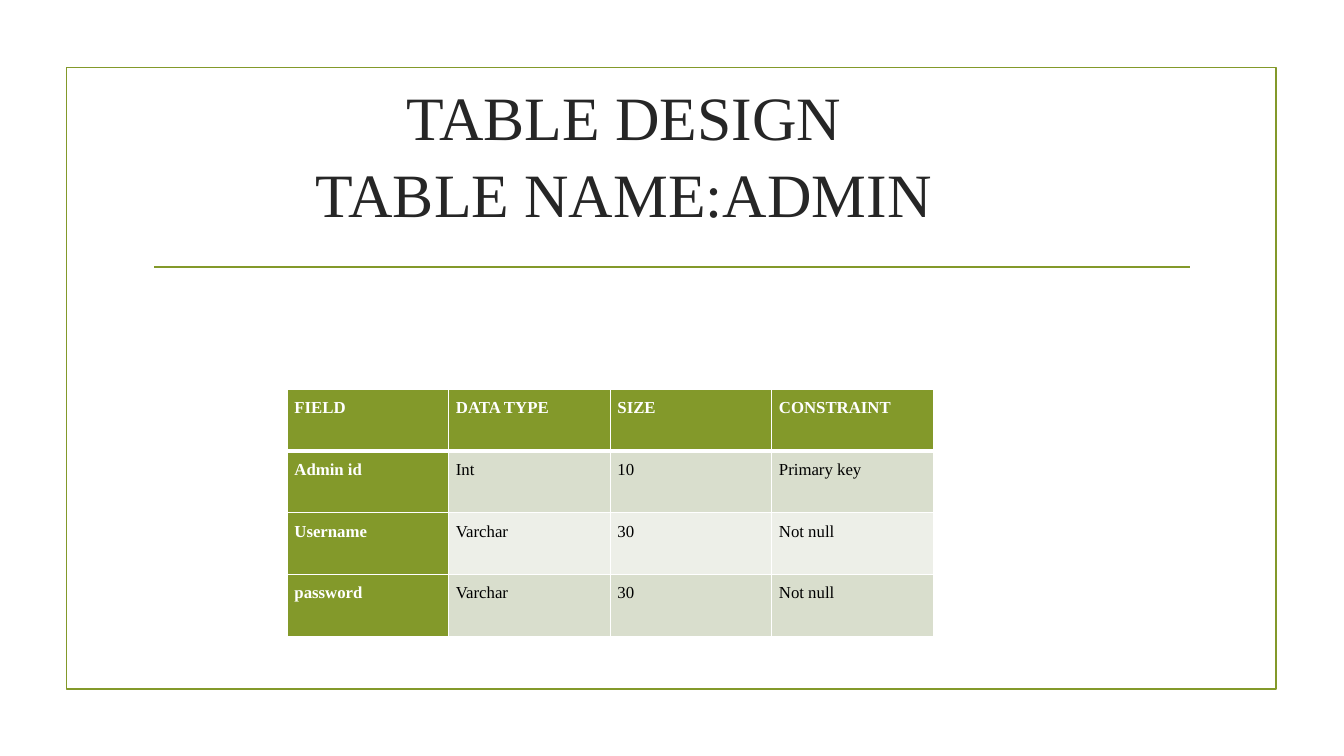
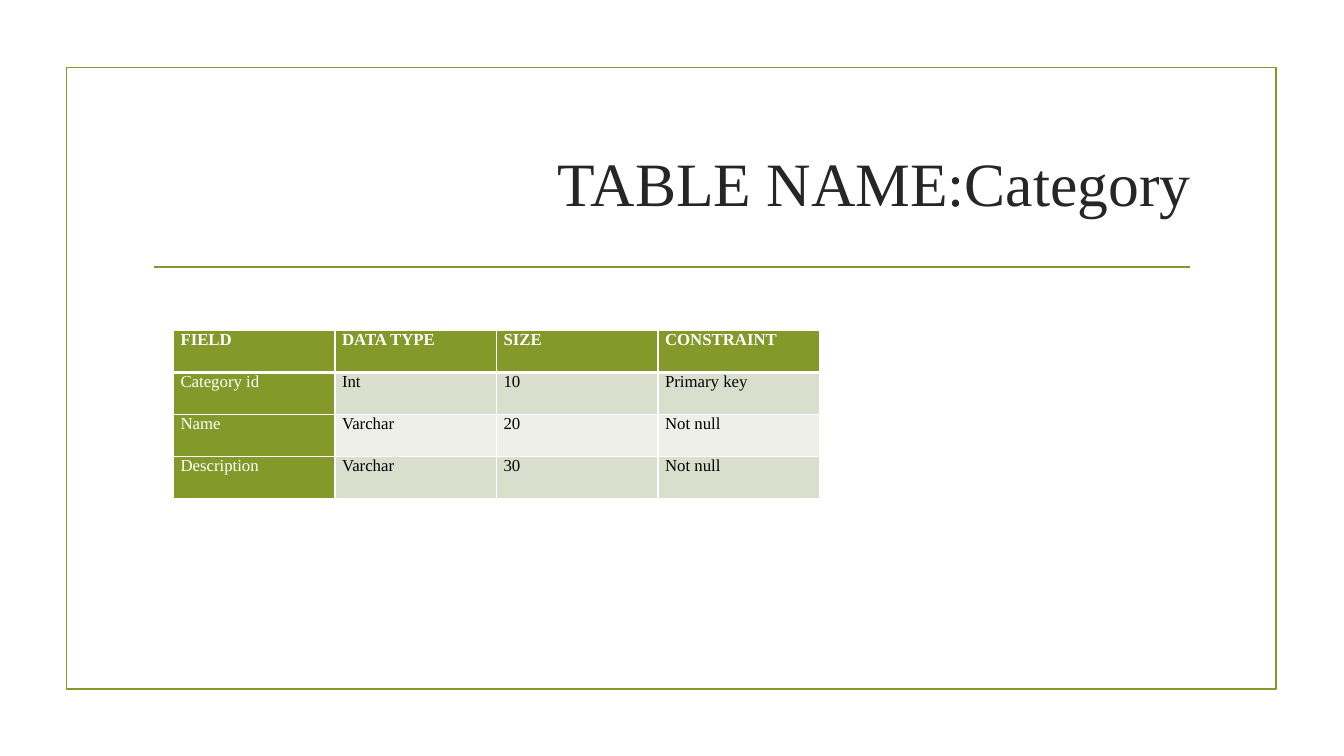
"""Build two slides that describe the columns of database tables."""
from lxml import etree
from pptx import Presentation
from pptx import util as u
from pptx.dml.color import RGBColor
from pptx.enum import shapes, text
from pptx.oxml.ns import qn

FONT = "Times New Roman"
OLIVE, INK, WHITE, BLACK = "83992A", "262626", "FFFFFF", "000000"
BANDS = ("D9DECD", "EDEFE8")
FRAME = (1.68, 1.7, 30.48, 15.67)
RULE = (3.89, 6.73, 30, 6.73)
COLUMN_WIDTH = 4.07
HEADER = ("FIELD", "DATA TYPE", "SIZE", "CONSTRAINT")

SLIDES = [
    {
        "title": "TABLE DESIGN\nTABLE NAME:ADMIN",
        "title_box": (2.79, 1.45, 25.88, 4.78),
        "title_align": text.PP_ALIGN.CENTER,
        "table_corner": (7.24, 9.8),
        "row_height": 1.56,
        "bold_fields": True,
        "spacing": {"line_spacing": 1.5, "space_after": 10},
        "fields": [
            ("Admin id", "Int", "10", "Primary key"),
            ("Username", "Varchar", "30", "Not null"),
            ("password", "Varchar", "30", "Not null"),
        ],
    },
    {
        "title": "TABLE NAME:Category",
        "title_box": (3.61, 2.72, 26.67, 3.63),
        "title_align": text.PP_ALIGN.RIGHT,
        "table_corner": (4.37, 8.33),
        "row_height": 1.06,
        "bold_fields": False,
        "spacing": {},
        "fields": [
            ("Category id", "Int", "10", "Primary key"),
            ("Name", "Varchar", "20", "Not null"),
            ("Description", "Varchar", "30", "Not null"),
        ],
    },
]


def cm(lengths):
    return [u.Cm(length) for length in lengths]


def color(value):
    return RGBColor.from_string(value)


def write(frame, words, size=12, ink=BLACK, bold=False,
          align=text.PP_ALIGN.LEFT, line_spacing=1.0, space_after=0):
    paragraph = frame.paragraphs[0]
    paragraph.text = words
    paragraph.alignment = align
    paragraph.line_spacing = line_spacing
    paragraph.space_after = u.Pt(space_after)
    for run in paragraph.runs:
        run.font.name = FONT
        run.font.size = u.Pt(size)
        run.font.bold = bold
        run.font.color.rgb = color(ink)


def add_backdrop(slide):
    frame = slide.shapes.add_shape(shapes.MSO_SHAPE.RECTANGLE, *cm(FRAME))
    frame.shadow.inherit = False
    frame.fill.background()
    rule = slide.shapes.add_connector(shapes.MSO_CONNECTOR.STRAIGHT, *cm(RULE))
    etree.SubElement(rule._element.spPr, qn("a:effectLst"))
    for outlined in (frame, rule):
        outlined.line.color.rgb = color(OLIVE)
        outlined.line.width = u.Pt(1.25)


def add_title(slide, content):
    title = slide.shapes.add_textbox(*cm(content["title_box"])).text_frame
    title.word_wrap = True
    title.vertical_anchor = text.MSO_ANCHOR.MIDDLE
    write(title, content["title"], size=44, ink=INK,
          align=content["title_align"], line_spacing=1.05)


def add_borders(cell, **widths):
    properties = cell._tc.get_or_add_tcPr()
    for side, points in widths.items():
        edge = etree.SubElement(properties, qn(f"a:ln{side}"), w=str(u.Pt(points)))
        paint = etree.SubElement(edge, qn("a:solidFill"))
        etree.SubElement(paint, qn("a:srgbClr"), val=WHITE)


def add_fields(slide, content):
    rows = [HEADER, *content["fields"]]
    size = (COLUMN_WIDTH * len(HEADER), content["row_height"] * len(rows))
    table = slide.shapes.add_table(
        len(rows), len(HEADER), *cm(content["table_corner"] + size)).table
    for column in table.columns:
        column.width = u.Cm(COLUMN_WIDTH)
    for r, row in enumerate(rows):
        table.rows[r].height = u.Cm(content["row_height"])
        for c, words in enumerate(row):
            cell = table.cell(r, c)
            cell.margin_left = cell.margin_right = u.Cm(0.18)
            cell.margin_top = cell.margin_bottom = 0
            add_borders(cell, L=1, R=1, T=3 if r == 1 else 1, B=3 if r == 0 else 1)
            heading = r == 0 or c == 0
            cell.fill.solid()
            cell.fill.fore_color.rgb = color(OLIVE if heading else BANDS[(r - 1) % 2])
            write(cell.text_frame, words, ink=WHITE if heading else BLACK,
                  bold=r == 0 or (c == 0 and content["bold_fields"]),
                  **content["spacing"])


def main():
    deck = Presentation()
    deck.slide_width, deck.slide_height = cm((33.87, 19.05))
    for content in SLIDES:
        slide = deck.slides.add_slide(deck.slide_layouts[6])
        add_backdrop(slide)
        add_title(slide, content)
        add_fields(slide, content)
    deck.save("out.pptx")


if __name__ == "__main__":
    main()
